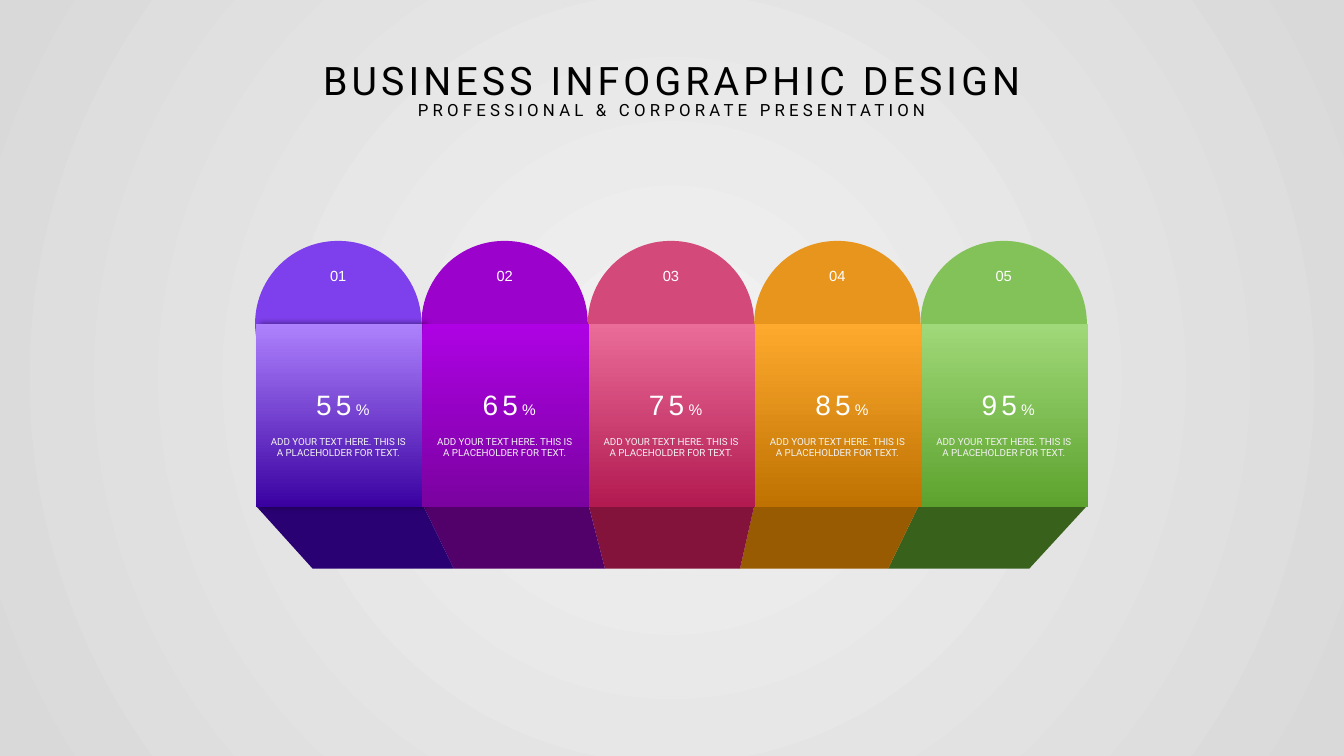
"""Build a five-column business infographic slide."""
from lxml import etree
from pptx import Presentation
from pptx import util as u
from pptx.dml.color import RGBColor
from pptx.enum import shapes, text
from pptx.oxml import parse_xml
from pptx.oxml.ns import nsdecls, qn

BLACK = RGBColor(0x00, 0x00, 0x00)
WHITE = RGBColor(0xFF, 0xFF, 0xFF)
LIGHT_GRAY = RGBColor(0xF2, 0xF2, 0xF2)
GRAY = RGBColor(0xD9, 0xD9, 0xD9)
CAPS = [RGBColor.from_string(c) for c in ("7D40EC", "9B02CB", "D34A7A", "E7951D", "83C159")]
FRONT_TOPS = [RGBColor.from_string(c) for c in ("AE82FE", "AE02E4", "EA6C99", "FEAA2E", "A0D979")]
FRONT_ENDS = [RGBColor.from_string(c) for c in ("3A01A1", "7A02A0", "B21A50", "BF7201", "5DA22E")]
BASES = [RGBColor.from_string(c) for c in ("2A0173", "52016B", "83133B", "995B01", "38621C")]

STEP = 1.65
BASE_TOP, BASE_BOTTOM = 5.02, 5.64
TOP_EDGES = (2.54, 4.2, 5.84, 7.48, 9.11, 10.78)
BOTTOM_EDGES = (3.1, 4.5, 6, 7.34, 8.81, 10.21)
PERCENTAGES = ("55", "65", "75", "85", "95")
CAPTION = "ADD YOUR TEXT HERE. THIS IS A PLACEHOLDER FOR TEXT."


def write(paragraph, content, size=10.5, font="Arial", color=WHITE, spacing=0):
    paragraph.alignment = text.PP_ALIGN.CENTER
    paragraph.space_before = u.Pt(0)
    run = paragraph.add_run()
    run.text = content
    run.font.size = u.Pt(size)
    run.font.name = font
    run.font.color.rgb = color
    if spacing:
        run.font._element.set("spc", str(spacing * 100))


class Infographic:
    def __init__(self, presentation):
        self.slide = presentation.slides.add_slide(presentation.slide_layouts[0])
        self.shapes = self.slide.shapes

    def gradient(self, fill, start, end):
        fill.gradient()
        for stop, color in zip(fill.gradient_stops, (start, end)):
            stop.color.rgb = color
        fill.gradient_stops[0].position = 0
        fill.gradient_stops[1].position = 1

    def background(self, center, edge):
        fill = self.slide.background.fill
        self.gradient(fill, center, edge)
        linear = next(self.slide._element.iter(qn("a:lin")))
        circle = etree.Element(qn("a:path"), path="circle")
        etree.SubElement(circle, qn("a:fillToRect"), l="50000", t="50000", r="50000", b="50000")
        linear.getparent().replace(linear, circle)

    def frame(self, shape):
        frame = shape.text_frame
        frame.word_wrap = True
        frame.auto_size = text.MSO_AUTO_SIZE.SHAPE_TO_FIT_TEXT
        frame.vertical_anchor = text.MSO_ANCHOR.TOP
        return frame.paragraphs[0]

    def heading(self, placeholder, content, top, height, size):
        placeholder.left, placeholder.top = u.Inches(1.81), u.Inches(top)
        placeholder.width, placeholder.height = u.Inches(9.71), u.Inches(height)
        write(self.frame(placeholder), content, size=size, font="Roboto", color=BLACK, spacing=3)

    def label(self, left, top, width, height):
        box = self.shapes.add_textbox(*map(u.Inches, (left, top, width, height)))
        return self.frame(box)

    def plain(self, shape):
        shape.shadow.inherit = False
        shape.line.fill.background()
        return shape

    def cap(self, left, color):
        shape = self.plain(self.shapes.add_shape(
            shapes.MSO_SHAPE.ROUNDED_RECTANGLE, *map(u.Inches, (left, 2.39, 1.65, 1.64))))
        shape.adjustments[0] = 0.5
        shape.fill.solid()
        shape.fill.fore_color.rgb = color

    def base(self, column, color):
        points = [(u.Inches(x), u.Inches(y)) for x, y in (
            (TOP_EDGES[column], BASE_TOP), (TOP_EDGES[column + 1], BASE_TOP),
            (BOTTOM_EDGES[column + 1], BASE_BOTTOM), (BOTTOM_EDGES[column], BASE_BOTTOM))]
        builder = self.shapes.build_freeform(*points[0])
        builder.add_line_segments(points[1:], close=True)
        shape = self.plain(builder.convert_to_shape())
        shape.fill.solid()
        shape.fill.fore_color.rgb = color

    def front(self, left, start, end):
        shape = self.plain(self.shapes.add_shape(
            shapes.MSO_SHAPE.RECTANGLE, *map(u.Inches, (left, 3.21, 1.65, 1.82))))
        self.gradient(shape.fill, start, end)
        shape.fill.gradient_angle = 270
        return shape

    def cast_shadow(self, shape):
        effects = shape._element.spPr.find(qn("a:effectLst"))
        effects.append(parse_xml(
            f'<a:outerShdw {nsdecls("a")} blurRad="{u.Pt(4)}" dist="{u.Pt(3)}" dir="0" '
            'algn="l" rotWithShape="0"><a:srgbClr val="000000"><a:alpha val="40000"/>'
            '</a:srgbClr></a:outerShdw>'))


def main():
    presentation = Presentation()
    presentation.slide_width = u.Inches(13.33)
    presentation.slide_height = u.Inches(7.5)
    infographic = Infographic(presentation)
    infographic.background(LIGHT_GRAY, GRAY)
    title, subtitle = infographic.slide.placeholders
    infographic.heading(title, "BUSINESS INFOGRAPHIC DESIGN", 0.51, 0.57, 28)
    infographic.heading(subtitle, "PROFESSIONAL & CORPORATE PRESENTATION", 0.94, 0.3, 12)

    for column in reversed(range(len(CAPS))):
        infographic.cap(2.53 + column * STEP, CAPS[column])
        infographic.base(column, BASES[column])

    for column, percentage in enumerate(PERCENTAGES):
        offset = column * STEP
        front = infographic.front(2.54 + offset, FRONT_TOPS[column], FRONT_ENDS[column])
        if column == 0:
            infographic.cast_shadow(front)
        write(infographic.label(3.01 + offset, 2.6, 0.69, 0.29), f"{column + 1:02}")
        value = infographic.label(2.74 + offset, 3.8, 1.32, 0.44)
        write(value, percentage, size=20, spacing=3)
        write(value, "%", size=11, spacing=3)
        caption = infographic.label(2.57 + offset, 4.27, 1.57, 0.34)
        write(caption, CAPTION, size=7, font="Roboto", color=LIGHT_GRAY)

    presentation.save("out.pptx")


if __name__ == "__main__":
    main()
